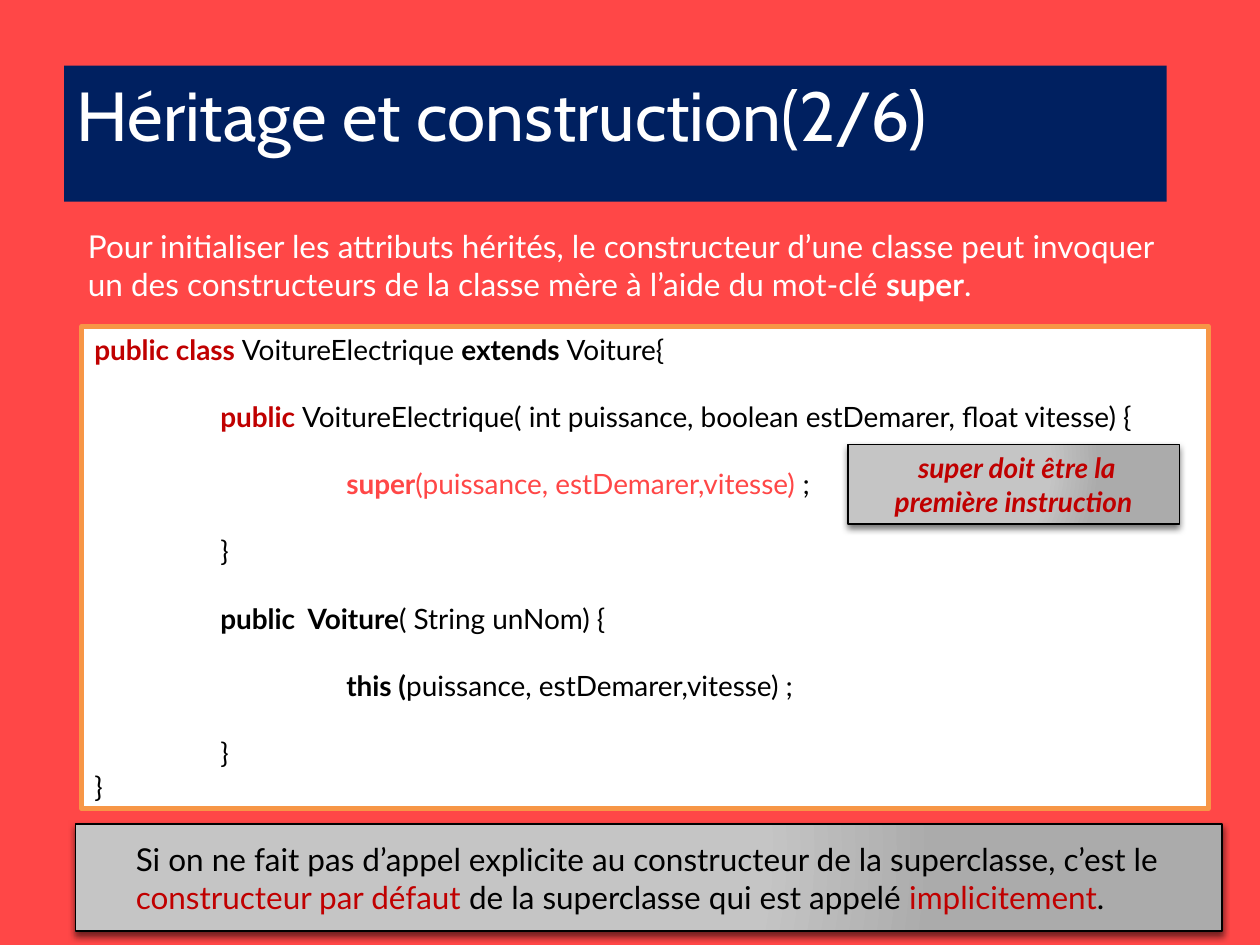
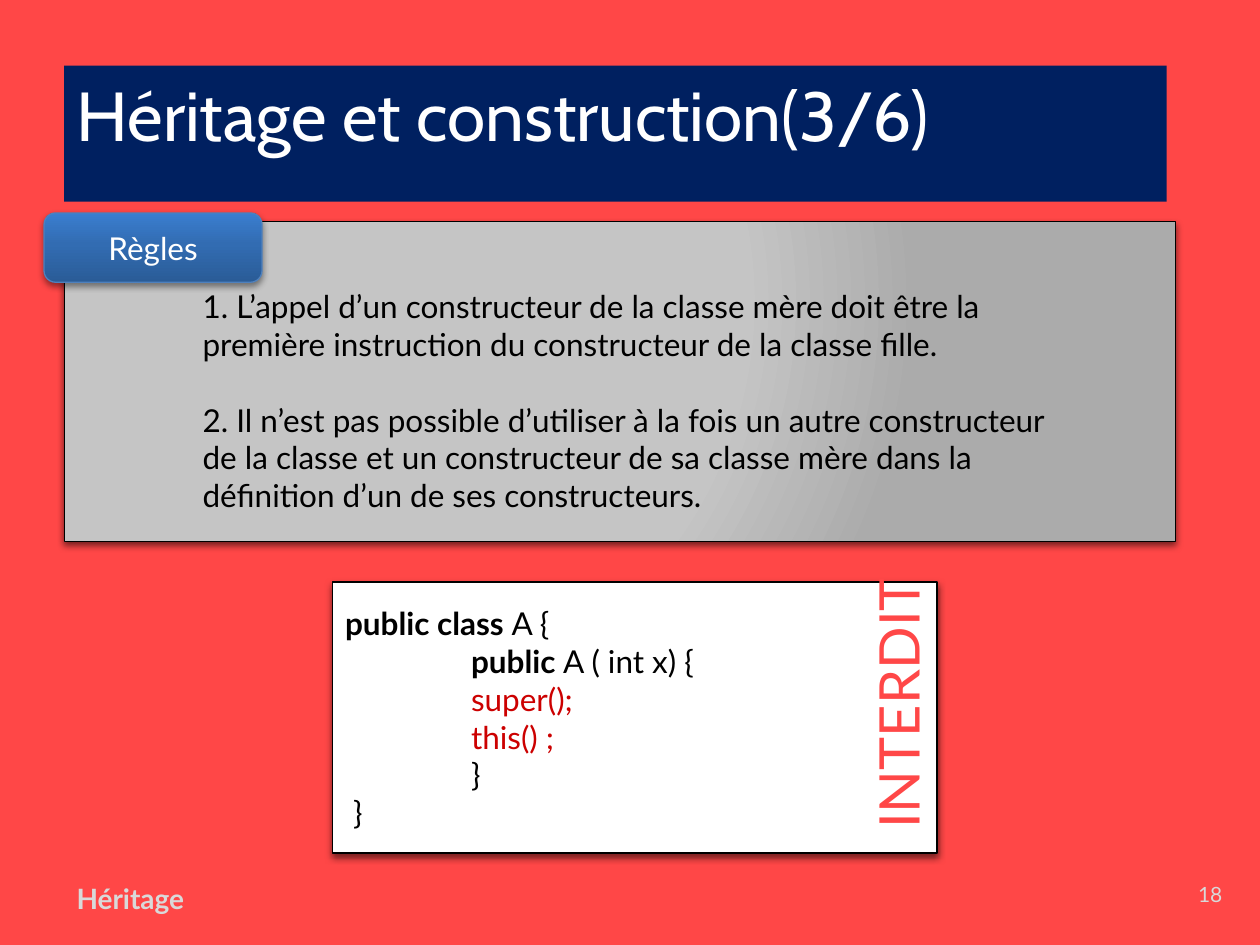
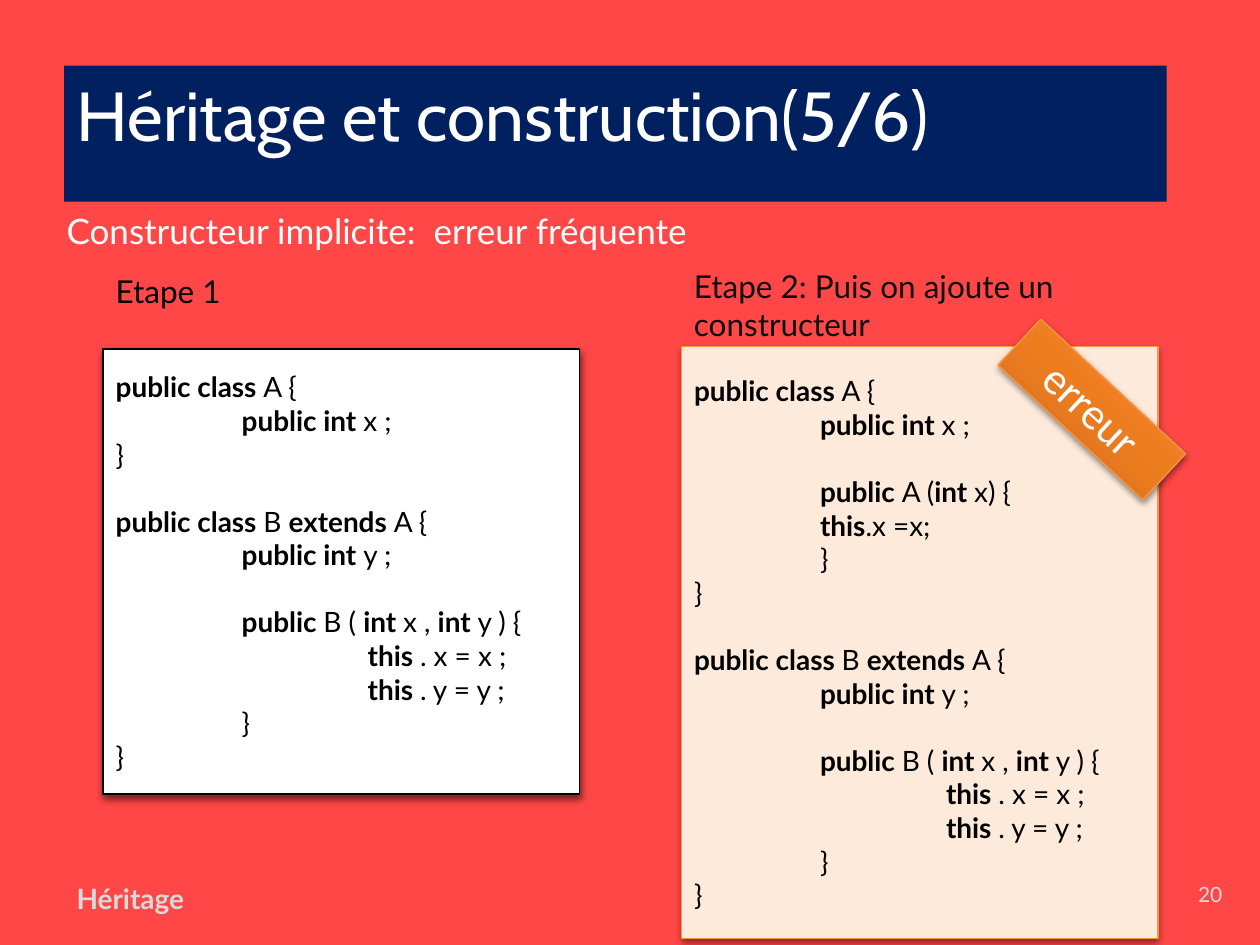
"""Build three slides on inheritance and constructors in Java."""
from pptx import Presentation
from pptx import oxml
from pptx import util as u
from pptx.dml.color import RGBColor
from pptx.enum import shapes, text
from pptx.oxml.ns import nsdecls, qn

CORAL = RGBColor(0xFF, 0x47, 0x47)
NAVY = RGBColor(0x00, 0x20, 0x60)
WHITE = RGBColor(0xFF, 0xFF, 0xFF)
BLACK = RGBColor(0x00, 0x00, 0x00)
INK = RGBColor(0x0D, 0x0D, 0x0D)
DARK_RED = RGBColor(0xC0, 0x00, 0x00)
RED = RGBColor(0xCC, 0x00, 0x00)
ORANGE = RGBColor(0xF7, 0x96, 0x46)
PEACH = RGBColor(0xFD, 0xEA, 0xDA)
BLUE = RGBColor(0x4F, 0x81, 0xBD)
PALE = RGBColor(0xD9, 0xD9, 0xD9)
SILVER, STEEL = RGBColor(0xC5, 0xC5, 0xC5), RGBColor(0xAB, 0xAB, 0xAB)

CIRCLE = '<a:path path="circle"><a:fillToRect l="50000" t="50000" r="100000" b="100000"/></a:path>'
UPWARD = '<a:lin ang="16200000" scaled="0"/>'
GREY_GLOW = ([(0, SILVER), (35, SILVER), (69, SILVER), (100, STEEL)], CIRCLE)
BLUE_GLOW = ([(0, RGBColor(0x2A, 0x5C, 0x97)), (55, RGBColor(0x32, 0x6C, 0xB2)),
              (100, RGBColor(0x3A, 0x7E, 0xD0))], UPWARD)
ORANGE_GLOW = ([(0, RGBColor(0xCA, 0x6A, 0x1B)), (55, RGBColor(0xEE, 0x7D, 0x20)),
                (100, RGBColor(0xFF, 0x94, 0x3B))], UPWARD)
LEFT, CENTER, RIGHT = text.PP_ALIGN.LEFT, text.PP_ALIGN.CENTER, text.PP_ALIGN.RIGHT
LINE_HEIGHT = 1.2


def panel(slide, at, fill, line, width=0.75, shadow=55, preset=shapes.MSO_SHAPE.RECTANGLE):
    """Add a filled, outlined shape; shadow is its opacity in percent."""
    shape = slide.shapes.add_shape(preset, *map(u.Inches, at))
    shape.shadow.inherit = False
    shape.line.color.rgb = line
    shape.line.width = u.Pt(width)
    properties = shape.element.spPr
    if isinstance(fill, RGBColor):
        shape.fill.solid()
        shape.fill.fore_color.rgb = fill
    else:
        stops, direction = fill
        marks = "".join(f'<a:gs pos="{pos * 1000}"><a:srgbClr val="{color}"/></a:gs>'
                        for pos, color in stops)
        shape.fill.background()
        properties.replace(properties.find(qn("a:noFill")), oxml.parse_xml(
            f'<a:gradFill {nsdecls("a")} rotWithShape="1"><a:gsLst>{marks}</a:gsLst>'
            f'{direction}</a:gradFill>'))
    if shadow:
        properties.find(qn("a:effectLst")).append(oxml.parse_xml(
            f'<a:outerShdw {nsdecls("a")} blurRad="50800" dist="25400" dir="5400000" '
            f'rotWithShape="0"><a:srgbClr val="000000"><a:alpha val="{shadow * 1000}"/>'
            '</a:srgbClr></a:outerShdw>'))
    return shape


def write(shape, lines, size, color=BLACK, align=LEFT, italic=False):
    """Write (indent, blank lines above, markup, accent) rows; * is bold, ~ is accent."""
    frame = shape.text_frame
    frame.word_wrap = True
    for number, (indent, gap, markup, accent) in enumerate(lines):
        paragraph = frame.add_paragraph() if number else frame.paragraphs[0]
        paragraph.alignment = align
        paragraph.space_before = u.Pt(round(gap * size * LINE_HEIGHT, 1))
        paragraph._p.get_or_add_pPr().set("marL", str(u.Inches(indent)))
        for i, part in enumerate(markup.split("~")):
            for j, words in enumerate(part.split("*")):
                if words:
                    run = paragraph.add_run()
                    run.text = words
                    run.font.name = "Lato"
                    run.font.size = u.Pt(size)
                    run.font.bold = j % 2 == 1
                    run.font.italic = italic
                    run.font.color.rgb = accent if i % 2 else color


prs = Presentation()
prs.slide_width, prs.slide_height = u.Inches(10), u.Inches(7.5)
background = prs.slide_master.background.fill
background.solid()
background.fore_color.rgb = CORAL

slides = []
for part_number, page in [(2, None), (3, "18"), (5, "20")]:
    slide = prs.slides.add_slide(prs.slide_layouts[5])
    slides.append(slide)
    title = slide.shapes.title
    title.left, title.top, title.width, title.height = map(u.Inches, (0.51, 0.52, 8.75, 1.08))
    title.fill.solid()
    title.fill.fore_color.rgb = NAVY
    title.text_frame.text = f"Héritage et construction({part_number}/6)"
    title.text_frame.vertical_anchor = text.MSO_ANCHOR.TOP
    heading = title.text_frame.paragraphs[0]
    heading.alignment = LEFT
    heading.runs[0].font.name = "Cabin"
    heading.runs[0].font.size = u.Pt(39.6)
    heading.runs[0].font.color.rgb = WHITE
    if page:
        for left, width, words, size, align in [(0.51, 3.7, "*Héritage*", 16, LEFT),
                                                (8.78, 1.02, page, 12, RIGHT)]:
            footer = slide.shapes.add_textbox(*map(u.Inches, (left, 6.95, width, 0.4)))
            write(footer, [(0, 0, words, None)], size, PALE, align)

super_slide, rules_slide, error_slide = slides

super_code = panel(super_slide, (0.65, 2.59, 8.94, 3.83), WHITE, ORANGE, 3, shadow=0)
write(super_code, [
    (0, 0, "~*public class *~VoitureElectrique *extends *Voiture{", DARK_RED),
    (1, 1, "~*public *~VoitureElectrique( int puissance, boolean estDemarer, float vitesse) {",
     DARK_RED),
    (2, 1, "~*super*(puissance, estDemarer,vitesse) ~;", CORAL),
    (1, 1, "}", None),
    (1, 1, "*public  Voiture*( String unNom) {", None),
    (2, 1, "*this (*puissance, estDemarer,vitesse) ;", None),
    (1, 1, "}", None),
    (0, 0, "}", None),
], 16)
intro = super_slide.shapes.add_textbox(*map(u.Inches, (0.6, 1.75, 8.94, 0.71)))
write(intro, [(0, 0, "Pour initialiser les attributs hérités, le constructeur d’une classe peut "
               "invoquer un des constructeurs de la classe mère à l’aide du mot-clé *super*.",
               None)], 18, WHITE)
reminder = panel(super_slide, (6.73, 3.53, 2.63, 0.63), GREY_GLOW, BLACK)
write(reminder, [(0, 0, " *super doit être la première instruction*", None)],
      16, DARK_RED, CENTER, italic=True)
default_rule = panel(super_slide, (0.6, 6.54, 9.1, 0.85), GREY_GLOW, BLACK)
write(default_rule, [(0.38, 0, "Si on ne fait pas d’appel explicite au constructeur de la "
                      "superclasse, c’est le ~constructeur par défaut ~de la superclasse qui "
                      "est appelé ~implicitement~.", DARK_RED)], 18)

rules = panel(rules_slide, (0.51, 1.76, 8.82, 2.54), GREY_GLOW, BLACK)
rules.text_frame.margin_top = u.Inches(0.35)
write(rules, [
    (1, 0, "1. L’appel d’un constructeur de la classe mère doit être la", None),
    (1, 0, "première instruction du constructeur de la classe fille.", None),
    (1, 1, "2. Il n’est pas possible d’utiliser à la fois un autre constructeur", None),
    (1, 0, "de la classe et un constructeur de sa classe mère dans la", None),
    (1, 0, "définition d’un de ses constructeurs.", None),
], 18)
rules_tab = panel(rules_slide, (0.35, 1.69, 1.73, 0.55), BLUE_GLOW, BLUE, shadow=44,
                  preset=shapes.MSO_SHAPE.ROUNDED_RECTANGLE)
write(rules_tab, [(0, 0, "Règles", None)], 18, WHITE, CENTER)
forbidden_code = panel(rules_slide, (2.64, 4.62, 4.8, 2.15), WHITE, BLACK, 1)
write(forbidden_code, [
    (0, 0, "*public class *A {", None),
    (1, 0, "*public *A ( int x) {", None),
    (1, 0, "~super();~", RED),
    (1, 0, "~this() ;~", RED),
    (1, 0, "}", None),
    (0, 0, " }", None),
], 18)
forbidden = rules_slide.shapes.add_textbox(*map(u.Inches, (6.03, 5.26, 2.19, 0.64)))
forbidden.rotation = 270
write(forbidden, [(0, 0, "INTERDIT", None)], 32, CORAL)

class_a = [(0, 0, "*public class *A {", None), (1, 0, "*public int *x ;", None)]
constructor_a = [
    (1, 1, "*public *A (*int *x) {", None),
    (1, 0, "*this*.x =x;", None),
    (1, 0, "}", None),
]
class_b = [
    (0, 0, "}", None),
    (0, 1, "*public class *B *extends *A {", None),
    (1, 0, "*public int *y ;", None),
    (1, 1, "*public *B ( *int *x , *int *y ) {", None),
    (2, 0, "*this *. x = x ;", None),
    (2, 0, "*this *. y = y ;", None),
    (1, 0, "}", None),
    (0, 0, "}", None),
]
first_step = panel(error_slide, (0.82, 2.77, 3.78, 3.53), WHITE, BLACK, 1)
write(first_step, class_a + class_b, 16)
second_step = panel(error_slide, (5.41, 2.75, 3.78, 4.7), PEACH, ORANGE, shadow=44)
write(second_step, class_a + constructor_a + class_b, 16)
error_stamp = panel(error_slide, (7.88, 3, 1.57, 0.5), ORANGE_GLOW, ORANGE, shadow=44)
error_stamp.rotation = 42.9
write(error_stamp, [(0, 0, "erreur", None)], 24, WHITE, CENTER)
for at, words, size, color in [
    ((5.41, 2.07, 3.07, 0.71), "Etape 2: Puis on ajoute un constructeur", 18, INK),
    ((0.43, 1.61, 5.4, 0.44), "Constructeur implicite:  erreur fréquente", 20, WHITE),
    ((0.82, 2.11, 1.06, 0.4), "Etape ~1~", 18, BLACK),
]:
    caption = error_slide.shapes.add_textbox(*map(u.Inches, at))
    write(caption, [(0, 0, words, INK)], size, color)

prs.save("out.pptx")
